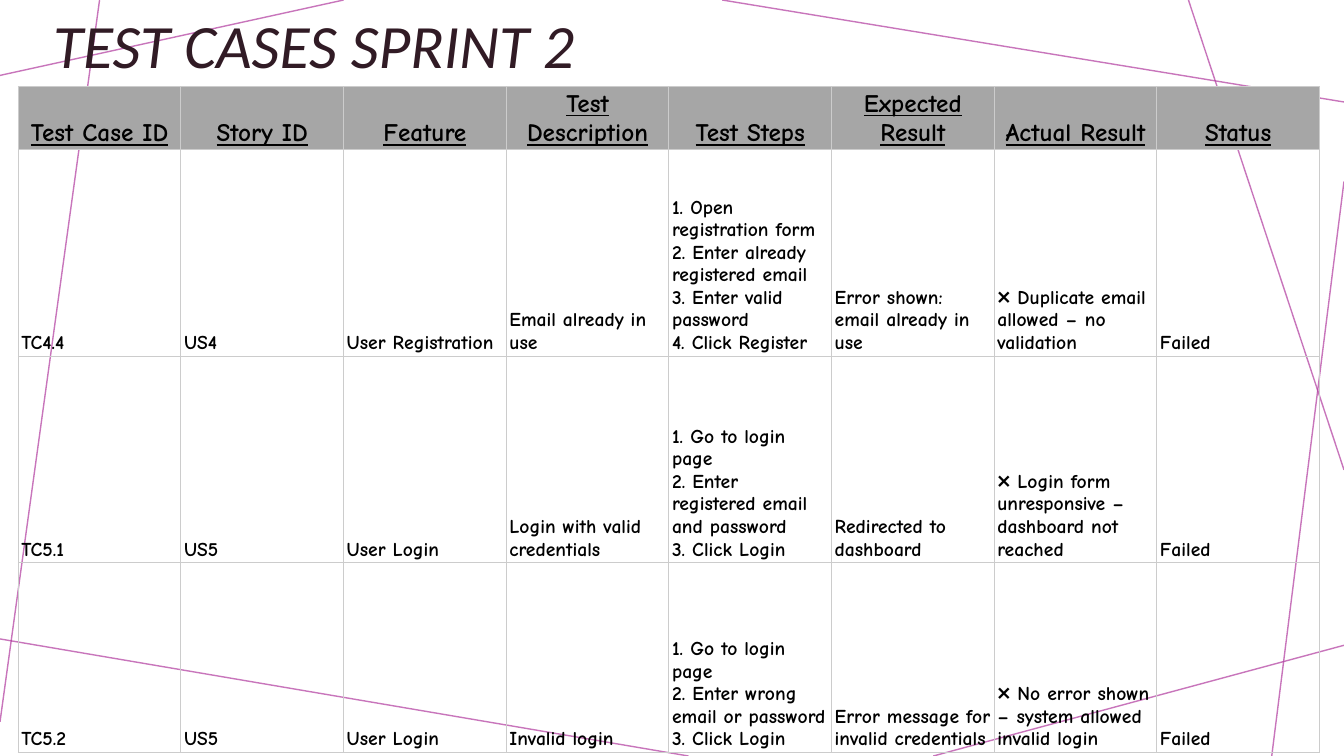
from dataclasses import dataclass

from lxml import etree
from pptx import Presentation
from pptx.dml.color import RGBColor
from pptx.enum.shapes import MSO_CONNECTOR
from pptx.enum.text import MSO_ANCHOR, PP_ALIGN
from pptx.oxml.ns import qn
from pptx.slide import Slide
from pptx.table import _Cell
from pptx.text.text import _Paragraph
from pptx.util import Cm, Pt

STRAIGHT = MSO_CONNECTOR.STRAIGHT
MIDDLE, BOTTOM = MSO_ANCHOR.MIDDLE, MSO_ANCHOR.BOTTOM
LEFT, CENTER = PP_ALIGN.LEFT, PP_ALIGN.CENTER

COLORS = {
    "accent": "B13B9F",
    "title": "311B25",
    "text": "000000",
    "header": "A6A6A6",
    "border": "CCCCCC",
}
TITLE_FONT = "Calibri"
TABLE_FONT = "Comic Neue"
SLIDE_WIDTH, SLIDE_HEIGHT = 33.87, 19.05
COLUMN_WIDTH = 4.1
ROW_HEIGHTS = (1.35, 5.21, 5.21, 4.78)


@dataclass(frozen=True)
class AccentLine:
    start: tuple[float, float]
    end: tuple[float, float]


@dataclass(frozen=True)
class CellStyle:
    size: int
    underline: bool
    alignment: PP_ALIGN
    margin_x: float
    margin_y: float
    fill: str | None


ACCENT_LINES = (
    AccentLine((8.66, 0), (0, 1.9)),
    AccentLine((2.51, 0), (0, 18.19)),
    AccentLine((17.35, SLIDE_HEIGHT), (0, 16.1)),
    AccentLine((SLIDE_WIDTH, 16.26), (23.52, SLIDE_HEIGHT)),
    AccentLine((SLIDE_WIDTH, 4.57), (32.05, SLIDE_HEIGHT)),
    AccentLine((SLIDE_WIDTH, 11.84), (29.95, 0)),
    AccentLine((SLIDE_WIDTH, 2.57), (18.2, 0)),
)
HEADER_STYLE = CellStyle(18, True, CENTER, 0.03, 0.03, "header")
BODY_STYLE = CellStyle(14, False, LEFT, 0.08, 0.05, None)

TEST_CASES = (
    ("Test Case ID", "Story ID", "Feature", "Test Description", "Test Steps",
     "Expected Result", "Actual Result", "Status"),
    ("TC4.4", "US4", "User Registration", "Email already in use",
     "1. Open registration form\n2. Enter already registered email\n"
     "3. Enter valid password\n4. Click Register",
     "Error shown: email already in use",
     "❌ Duplicate email allowed – no validation", "Failed"),
    ("TC5.1", "US5", "User Login", "Login with valid credentials",
     "1. Go to login page\n2. Enter registered email and password\n3. Click Login",
     "Redirected to dashboard",
     "❌ Login form unresponsive – dashboard not reached", "Failed"),
    ("TC5.2", "US5", "User Login", "Invalid login",
     "1. Go to login page\n2. Enter wrong email or password\n3. Click Login",
     "Error message for invalid credentials",
     "❌ No error shown – system allowed invalid login", "Failed"),
)


def rgb(name: str) -> RGBColor:
    return RGBColor.from_string(COLORS[name])


def draw_accent_line(slide: Slide, line: AccentLine) -> None:
    connector = slide.shapes.add_connector(
        STRAIGHT, *(Cm(value) for value in line.start + line.end))
    connector.line.width = Pt(1)
    connector.line.color.rgb = rgb("accent")
    properties = connector._element.spPr
    color = properties.find(".//" + qn("a:srgbClr"))
    etree.SubElement(color, qn("a:alpha"), val="70000")
    etree.SubElement(properties, qn("a:effectLst"))


def draw_title(slide: Slide, text: str) -> None:
    title = slide.shapes.add_textbox(Cm(1.09), Cm(0.3), Cm(30), Cm(1.85))
    frame = title.text_frame
    frame.word_wrap = True
    frame.vertical_anchor = MIDDLE
    paragraph = frame.paragraphs[0]
    paragraph.line_spacing = 0.9
    run = paragraph.add_run()
    run.text = text
    run.font.name = TITLE_FONT
    run.font.size = Pt(44)
    run.font.italic = True
    run.font.color.rgb = rgb("title")


def add_borders(cell: _Cell) -> None:
    properties = cell._tc.get_or_add_tcPr()
    for side in ("lnL", "lnR", "lnT", "lnB"):
        border = etree.SubElement(properties, qn(f"a:{side}"), w=str(Pt(0.75)))
        fill = etree.SubElement(border, qn("a:solidFill"))
        etree.SubElement(fill, qn("a:srgbClr"), val=COLORS["border"])


def write_lines(paragraph: _Paragraph, text: str, style: CellStyle) -> None:
    """Add one run per line of text, with line breaks between them."""
    for index, line in enumerate(text.split("\n")):
        if index:
            paragraph.add_line_break()
        run = paragraph.add_run()
        run.text = line
        run.font.name = TABLE_FONT
        run.font.size = Pt(style.size)
        run.font.bold = True
        run.font.underline = style.underline
        run.font.color.rgb = rgb("text")


def fill_cell(cell: _Cell, text: str, style: CellStyle) -> None:
    cell.vertical_anchor = BOTTOM
    cell.margin_left = cell.margin_right = Cm(style.margin_x)
    cell.margin_top = cell.margin_bottom = Cm(style.margin_y)
    add_borders(cell)
    if style.fill:
        cell.fill.solid()
        cell.fill.fore_color.rgb = rgb(style.fill)
    else:
        cell.fill.background()
    paragraph = cell.text_frame.paragraphs[0]
    paragraph.alignment = style.alignment
    write_lines(paragraph, text, style)


def draw_test_cases(slide: Slide) -> None:
    column_count = len(TEST_CASES[0])
    table = slide.shapes.add_table(
        len(TEST_CASES), column_count, Cm(0.46), Cm(2.18),
        Cm(COLUMN_WIDTH * column_count), Cm(sum(ROW_HEIGHTS))).table
    table.first_row = False
    table.horz_banding = False
    for column in table.columns:
        column.width = Cm(COLUMN_WIDTH)
    for row_index, texts in enumerate(TEST_CASES):
        table.rows[row_index].height = Cm(ROW_HEIGHTS[row_index])
        style = BODY_STYLE if row_index else HEADER_STYLE
        for column_index, text in enumerate(texts):
            fill_cell(table.cell(row_index, column_index), text, style)


def main() -> None:
    presentation = Presentation()
    presentation.slide_width = Cm(SLIDE_WIDTH)
    presentation.slide_height = Cm(SLIDE_HEIGHT)
    slide = presentation.slides.add_slide(presentation.slide_layouts[6])
    for line in ACCENT_LINES:
        draw_accent_line(slide, line)
    draw_title(slide, "TEST CASES SPRINT 2")
    draw_test_cases(slide)
    presentation.save("out.pptx")


if __name__ == "__main__":
    main()
